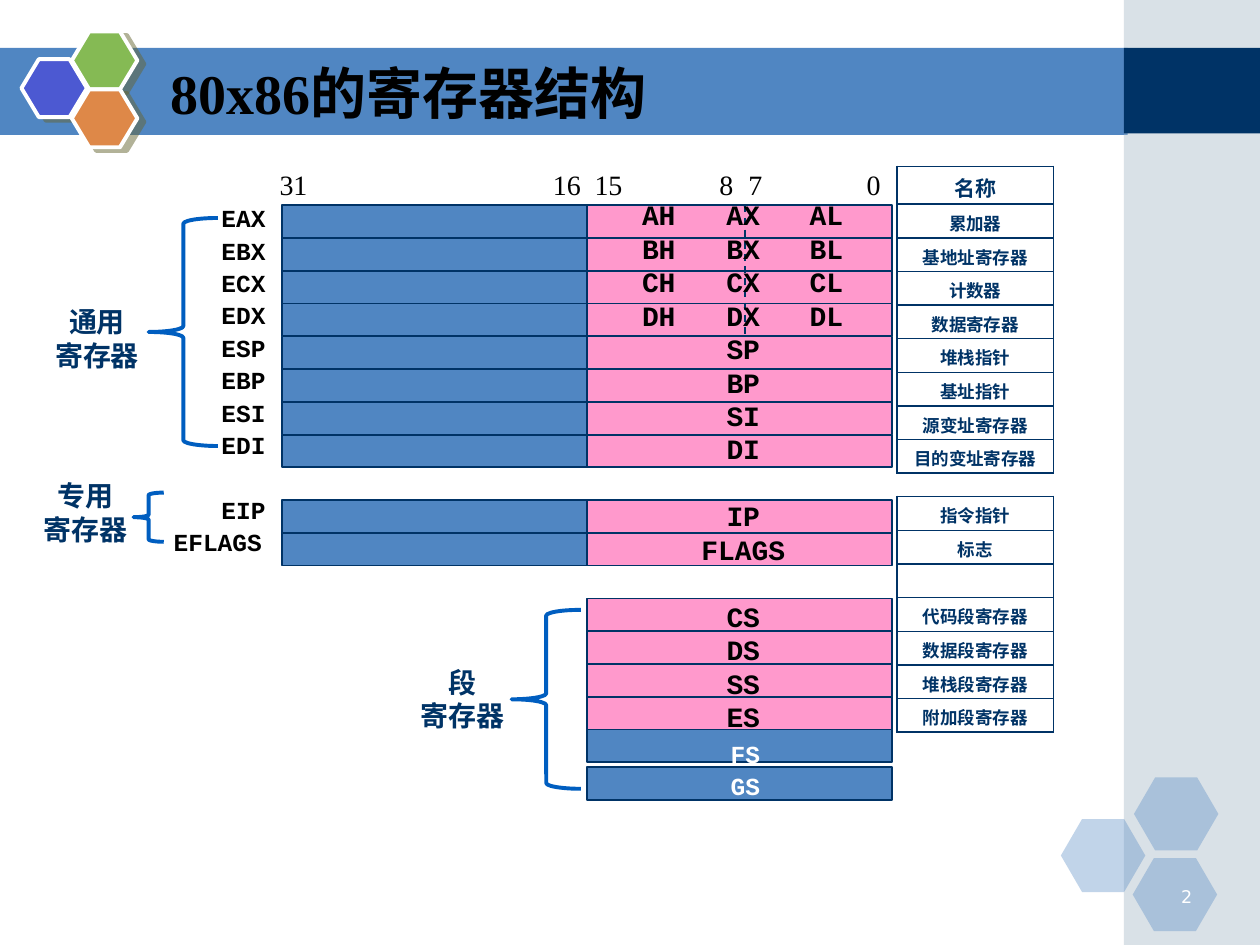
from lxml.etree import SubElement
from pptx import Presentation
from pptx.dml.color import RGBColor
from pptx.enum.dml import MSO_LINE
from pptx.enum.shapes import MSO_CONNECTOR, MSO_SHAPE as Shape
from pptx.enum.text import MSO_ANCHOR as Anchor, PP_ALIGN as Align
from pptx.oxml.ns import qn
from pptx.util import Inches, Pt

NAVY, BLUE, PINK, BRACE = "003366", "5086C2", "FF99CC", "005EC0"
MONO, SERIF = "Courier New", "Times New Roman"

presentation = Presentation()
presentation.slide_width, presentation.slide_height = Inches(10), Inches(7.5)
slide = presentation.slides.add_slide(presentation.slide_layouts[5])
shapes = slide.shapes


def draw(kind, box, fill=None, line=None, width=1.0, alpha=None):
    shape = shapes.add_shape(kind, *map(Inches, box))
    shape.shadow.inherit = False
    if fill:
        shape.fill.solid()
        shape.fill.fore_color.rgb = RGBColor.from_string(fill)
    else:
        shape.fill.background()
    if alpha:
        color = shape.element.spPr.find(qn("a:solidFill"))[0]
        SubElement(color, qn("a:alpha"), val=str(alpha * 1000))
    if line:
        shape.line.color.rgb = RGBColor.from_string(line)
        shape.line.width = Pt(width)
    else:
        shape.line.fill.background()
    return shape


def write(lines, box=None, frame=None, size=16, font=SERIF, color="000000", bold=True,
          align=Align.LEFT, pitch=None, gaps=(), indent=0, indents=None, tabs=(), tab_align="l"):
    """Write one paragraph per line; lines named in gaps leave one row free above."""
    if frame is None:
        frame = shapes.add_textbox(*map(Inches, box)).text_frame
        frame.word_wrap = True
    for number, line in enumerate(lines):
        paragraph = frame.add_paragraph() if number else frame.paragraphs[0]
        paragraph.text = line
        tabbed = "\t" in line
        paragraph.alignment = Align.LEFT if tabbed else align
        if pitch:
            paragraph.line_spacing = Pt(pitch)
        if line in gaps:
            paragraph.space_before = Pt(pitch)
        properties = paragraph._p.get_or_add_pPr()
        margin = (indents or {}).get(line, indent)
        if margin:
            properties.set("marL", str(Inches(margin)))
        if tabbed:
            stops = SubElement(properties, qn("a:tabLst"))
            for stop in tabs:
                SubElement(stops, qn("a:tab"), pos=str(Inches(stop)), algn=tab_align)
        paragraph.font.size, paragraph.font.bold = Pt(size), bold
        paragraph.font.name = font
        paragraph.font.color.rgb = RGBColor.from_string(color)
        for run in paragraph.runs:
            run.font.size, run.font.bold = Pt(size), bold
            run.font.name = font
            run.font.color.rgb = RGBColor.from_string(color)
    return frame


# Title bar and side band
draw(Shape.RECTANGLE, (0, 0.38, 8.95, 0.69), BLUE)
draw(Shape.RECTANGLE, (8.92, 0, 1.08, 7.5), "A0B5C4", alpha=40)
draw(Shape.RECTANGLE, (8.92, 0.38, 1.08, 0.68), NAVY)

# Corner hexagons
for left, top in ((8.42, 6.5), (9, 6.17), (8.99, 6.81)):
    hexagon = draw(Shape.HEXAGON, (left, top, 0.67, 0.58), BLUE, alpha=35)
    hexagon.adjustments[0] = 0.29
for left, top, color in ((0.17, 0.47, "4C59D2"), (0.57, 0.25, "85BA54"), (0.57, 0.71, "DE8848")):
    hexagon = draw(Shape.HEXAGON, (left, top, 0.52, 0.46), color, "FFFFFF", 2.25)
    hexagon.adjustments[0] = 0.3
    effects = hexagon.element.spPr.find(qn("a:effectLst"))
    shadow = SubElement(effects, qn("a:outerShdw"), dist=str(Pt(4.5)), dir=str(27 * 60000),
                        algn="ctr", rotWithShape="0")
    SubElement(SubElement(shadow, qn("a:srgbClr"), val="666633"), qn("a:alpha"), val="50000")

# Title
title = shapes.title
title.left, title.top, title.width, title.height = map(Inches, (1.25, 0.42, 7.33, 0.62))
title.text_frame.vertical_anchor = Anchor.MIDDLE
write(["80x86的寄存器结构"], frame=title.text_frame, size=32)
title.element.getparent().append(title.element)

# Register bars: high half on the left, low half on the right
ROW, TOP, HALF, HIGH, LOW = 0.26, 1.63, 2.42, 2.24, 4.66
general_and_special = [*range(8), 9, 10]
segments = [12, 13, 14, 15]
bars = [(LOW, row, PINK) for row in general_and_special + segments]
bars += [(HIGH, row, BLUE) for row in general_and_special]
bars += [(LOW, 17.15, BLUE), (LOW, 16, BLUE)]
for left, row, color in bars:
    draw(Shape.RECTANGLE, (left, TOP + row * ROW, HALF, ROW), color, NAVY)

# Divider between the high and low bytes
divider = shapes.add_connector(MSO_CONNECTOR.STRAIGHT, Inches(5.91), Inches(TOP),
                               Inches(5.91), Inches(TOP + 4 * ROW))
divider.line.color.rgb = RGBColor.from_string(NAVY)
divider.line.width = Pt(1)
divider.line.dash_style = MSO_LINE.DASH
SubElement(divider.element.spPr, qn("a:effectLst"))

# Register names and bit numbers
low_names = [f"\t{letter}H\t{letter}X\t{letter}L" for letter in "ABCD"]
low_names += ["SP", "BP", "SI", "DI", "IP", "FLAGS", "CS", "DS", "SS", "ES"]
low_frame = write(low_names, (4.74, 1.52, 2.4, 4.41), font=MONO, align=Align.CENTER, pitch=19.15,
                  gaps=("IP", "CS"), tabs=(0.39, 1.06, 1.72), tab_align="ctr")
low_frame.margin_right = Inches(0.18)
write(["EAX", "EBX", "ECX", "EDX", "ESP", "EBP", "ESI", "EDI", "EIP", "EFLAGS"],
      (1.16, 1.54, 1.33, 2.95), size=14, font=MONO, pitch=18.5, gaps=("EIP",),
      indent=0.5, indents={"EFLAGS": 0.12})
write(["FS", "GS"], (5.7, 5.79, 0.5, 0.62), size=14, font=MONO, color="FFFFFF", pitch=18.5)
write(["\t31\t16\t15\t8\t7\t0"], (2.07, 1.28, 5.08, 0.37), bold=False,
      tabs=(0.05, 2.22, 2.55, 3.54, 3.77, 4.71))

# Tables of meanings
tables = (
    (1.32, 0.3, ["名称", "累加器", "基地址寄存器", "计数器", "数据寄存器", "堆栈指针",
                 "基址指针", "源变址寄存器", "目的变址寄存器"]),
    (3.94, 0.27, ["指令指针", "标志", "", "代码段寄存器", "数据段寄存器", "堆栈段寄存器",
                  "附加段寄存器"]),
)
for top, first_height, meanings in tables:
    height = 0.267
    table = shapes.add_table(len(meanings), 1, Inches(7.12), Inches(top), Inches(1.24),
                             Inches(first_height + height * (len(meanings) - 1))).table
    table.first_row = table.horz_banding = False
    for number, meaning in enumerate(meanings):
        table.rows[number].height = Inches(height if number else first_height)
        cell = table.cell(number, 0)
        cell.margin_top, cell.margin_bottom = Inches(0.03), 0
        cell.vertical_anchor = Anchor.MIDDLE
        write([meaning], frame=cell.text_frame, size=12 if meaning == "名称" else 10,
              color=NAVY, align=Align.CENTER)
        properties = cell._tc.get_or_add_tcPr()
        for side in ("lnL", "lnR", "lnT", "lnB"):
            border = SubElement(properties, qn(f"a:{side}"), w=str(Pt(1)))
            SubElement(SubElement(border, qn("a:solidFill")), qn("a:srgbClr"), val=NAVY)
        cell.fill.background()

# Group braces and their labels
groups = (
    ("通用", (0.29, 2.37), (1.18, 1.73, 0.55, 1.81)),
    ("专用", (0.2, 3.75), (1.06, 3.91, 0.24, 0.39)),
    ("段", (3.19, 5.23), (4.06, 4.84, 0.55, 1.42)),
)
for name, corner, brace in groups:
    draw(Shape.LEFT_BRACE, brace, line=BRACE, width=2.25)
    write([name, "寄存器"], (*corner, 0.96, 0.64), color=NAVY, align=Align.CENTER)

# Page number
write(["2"], (9.06, 6.98, 0.5, 0.25), size=10, font="DejaVu Sans", color="FFFFFF",
      bold=False, align=Align.RIGHT)

presentation.save("out.pptx")
